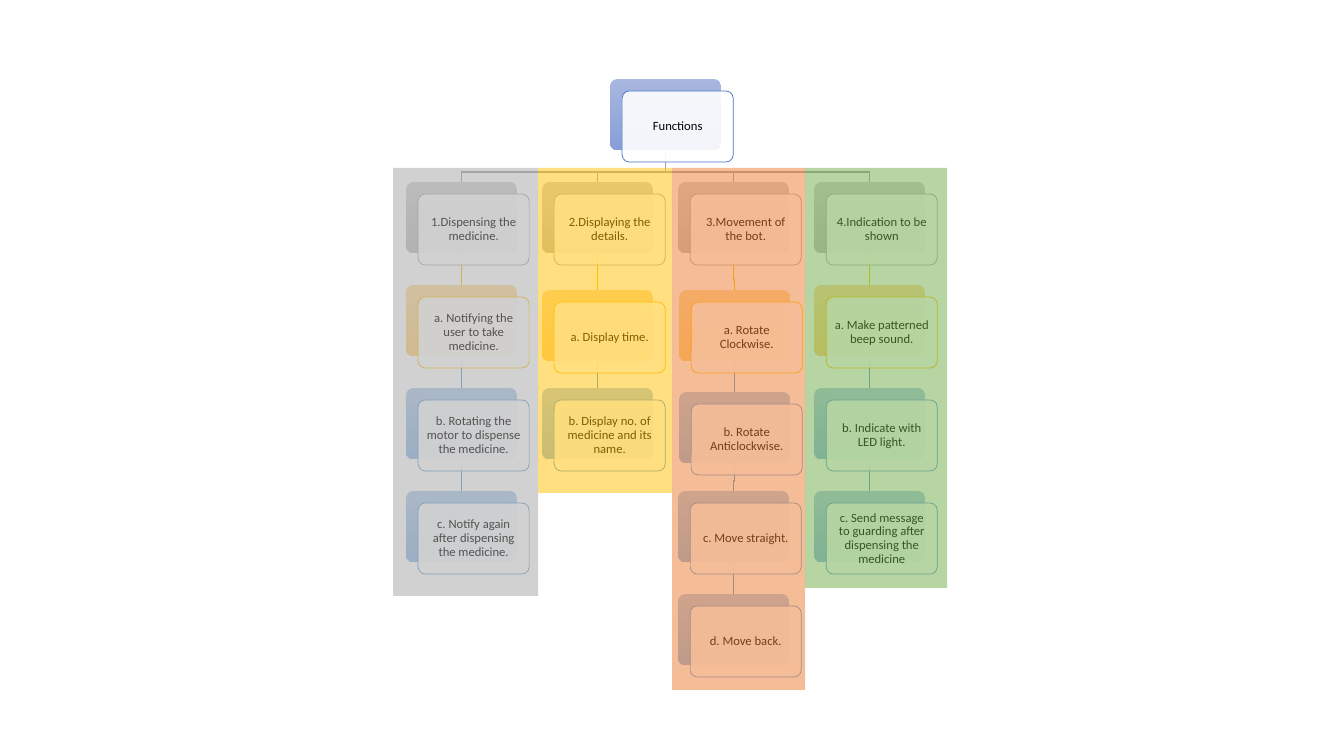
from pptx import Presentation
from pptx.dml.color import RGBColor as RGB
from pptx.enum.shapes import MSO_CONNECTOR as LINK, MSO_SHAPE as KIND
from pptx.enum.text import MSO_ANCHOR as ANCHOR, PP_ALIGN as ALIGN
from pptx.util import Inches, Pt
from lxml.etree import SubElement
from pptx.oxml.ns import qn

WHITE, BLACK = RGB(255, 255, 255), RGB(0, 0, 0)
BLUE, GRAY = RGB(0x44, 0x72, 0xC4), RGB(0xA5, 0xA5, 0xA5)
GOLD, SKY = RGB(0xFF, 0xC0, 0x00), RGB(0x5B, 0x9B, 0xD5)
RUST, GREEN = RGB(0xED, 0x7D, 0x31), RGB(0x70, 0xAD, 0x47)
FADES = {
    BLUE: (RGB(0xA8, 0xB7, 0xDF), RGB(0x88, 0x9E, 0xD7)),
    GRAY: (RGB(0xD2, 0xD2, 0xD2), RGB(0xC0, 0xC0, 0xC0)),
    GOLD: (RGB(0xFF, 0xDB, 0x9E), RGB(0xFF, 0xD0, 0x7C)),
    SKY: (RGB(0xB1, 0xCB, 0xE9), RGB(0x93, 0xB9, 0xE4)),
}
LEVELS = [GRAY, GOLD, SKY, SKY, SKY]

ROOT = "Functions"
TREE = [
    ["1.Dispensing the medicine.", "a. Notifying the user to take medicine.",
     "b. Rotating the motor to dispense the medicine.",
     "c. Notify again after dispensing the medicine."],
    ["2.Displaying the details.", "a. Display time.",
     "b. Display no. of medicine and its name."],
    ["3.Movement of the bot.", "a. Rotate Clockwise.",
     "b. Rotate Anticlockwise.", "c. Move straight.", "d. Move back."],
    ["4.Indication to be shown", "a. Make patterned beep sound.",
     "b. Indicate with LED light.",
     "c. Send message to guarding after dispensing the medicine"],
]
NUDGE = {(1, 1): (0, 5), (2, 1): (1, 5), (2, 2): (1, 4)}
PANELS = [(393, 145, 428, GRAY), (538, 134, 325, GOLD),
          (672, 133, 522, RUST), (805, 142, 420, GREEN)]
TOP = 168
WIDE, HIGH, SHIFT, JOG = 111, 71, 12, 10
LEFT, FIRST, COL, ROW = 406, 182, 136, 103
HEAD = (610, 79)
SCALE = 914400 / 100.8
FRAME = {"word_wrap": True, "vertical_anchor": ANCHOR.MIDDLE,
         **{f"margin_{side}": round(6 * SCALE)
            for side in ("left", "right", "top", "bottom")}}
PARA = {"alignment": ALIGN.CENTER, "line_spacing": 0.9}
FONT = {"name": "Calibri", "size": Pt(9)}


def emu(*nums):
    return [round(n * SCALE) for n in nums]


def put(item, form):
    for key, val in form.items():
        setattr(item, key, val)


def shape(kind, *box):
    item = slide.shapes.add_shape(kind, *emu(*box))
    item.shadow.inherit = False
    item.line.fill.background()
    if kind == KIND.ROUNDED_RECTANGLE:
        item.adjustments[0] = 0.1
    return item


def tint(item, color, alpha):
    item.fill.solid()
    item.fill.fore_color.rgb = color
    node = item._element.spPr.find(".//" + qn("a:srgbClr"))
    SubElement(node, qn("a:alpha"), val=str(alpha * 1000))


def stroke(item, color, width):
    item.line.color.rgb = color
    item.line.width = Pt(width)


def join(start, end, color):
    x, y = start[0] + WIDE / 2, start[1] + HIGH
    to, low = end[0] + WIDE / 2, end[1]
    if x == to:
        item = slide.shapes.add_connector(LINK.STRAIGHT, *emu(x, y, to, low))
        SubElement(item._element.spPr, qn("a:effectLst"))
    else:
        pen = slide.shapes.build_freeform(*emu(x, y))
        bends = [(x, low - JOG), (to, low - JOG), (to, low)]
        pen.add_line_segments([emu(*p) for p in bends], close=False)
        item = pen.convert_to_shape()
        item.shadow.inherit = False
        item.fill.background()
    stroke(item, color, 1)


def card(spot, text, color):
    x, y = spot
    back = shape(KIND.ROUNDED_RECTANGLE, x, y, WIDE, HIGH)
    back.fill.gradient()
    back.fill.gradient_angle = 270
    for stop, shade in zip(back.fill.gradient_stops, FADES[color]):
        stop.color.rgb = shade
    front = shape(KIND.ROUNDED_RECTANGLE, x + SHIFT, y + SHIFT, WIDE, HIGH)
    tint(front, WHITE, 90)
    stroke(front, color, 0.5)
    frame = front.text_frame
    put(frame, FRAME)
    para = frame.paragraphs[0]
    put(para, PARA)
    run = para.add_run()
    run.text = text
    put(run.font, FONT)
    run.font.color.rgb = BLACK


def place(col, row):
    dx, dy = NUDGE.get((col, row), (0, 0))
    return LEFT + col * COL + dx, FIRST + row * ROW + dy


deck = Presentation()
put(deck, {"slide_width": Inches(13.33), "slide_height": Inches(7.5)})
slide = deck.slides.add_slide(deck.slide_layouts[6])

cards = [(HEAD, ROOT, BLUE)]
for col, branch in enumerate(TREE):
    last = HEAD
    for row, text in enumerate(branch):
        spot = place(col, row)
        join(last, spot, LEVELS[row])
        cards.append((spot, text, LEVELS[row]))
        last = spot
for item in cards:
    card(*item)
for left, width, height, color in PANELS:
    tint(shape(KIND.RECTANGLE, left, TOP, width, height), color, 50)

deck.save("out.pptx")
